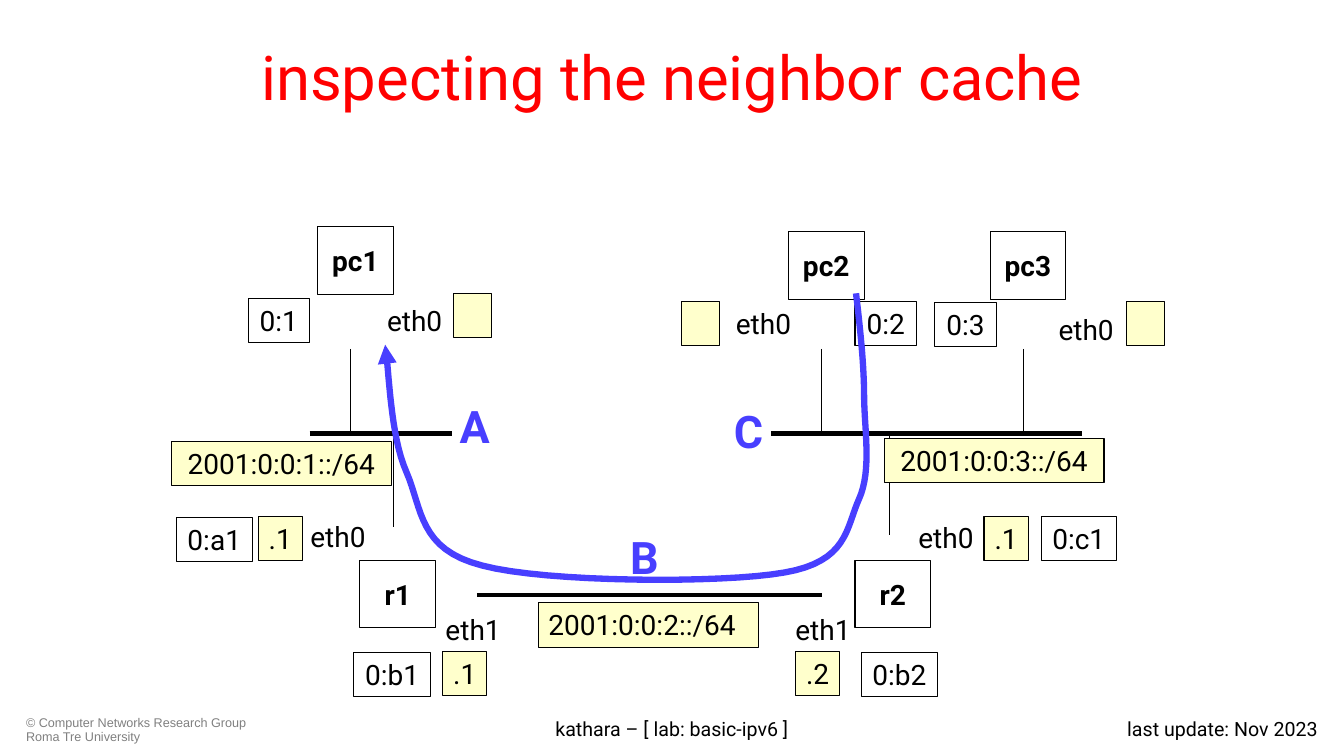
from lxml import etree
from pptx import Presentation
from pptx.dml.color import RGBColor
from pptx.enum.shapes import MSO_CONNECTOR, MSO_SHAPE
from pptx.enum.text import MSO_ANCHOR, PP_ALIGN
from pptx.oxml.ns import qn
from pptx.util import Inches, Pt

LEFT, MID, RIGHT = PP_ALIGN.LEFT, PP_ALIGN.CENTER, PP_ALIGN.RIGHT
TOP, CENTER = MSO_ANCHOR.TOP, MSO_ANCHOR.MIDDLE
RECT, STRAIGHT = MSO_SHAPE.RECTANGLE, MSO_CONNECTOR.STRAIGHT

COLORS = {"red": "FF0000", "black": "000000", "gray": "808080",
          "blue": "483FFF", "white": "FFFFFF", "cream": "FFFFCC"}

TITLE = "inspecting the neighbor cache"
FOOTERS = [
    ("© Computer Networks Research Group Roma Tre University",
     0.16, 2.49, LEFT, {"size": 9, "color": "gray", "name": "Arial"}),
    ("kathara – [ lab: basic-ipv6 ]", 3.41, 6.51, MID, {"size": 14}),
    ("last update: Nov 2023", 10.13, 3.04, RIGHT, {"size": 14}),
]
LANS = [(3.07, 4.48, 4.3), (4.73, 8.15, 5.9), (7.65, 10.73, 4.3)]
DROPS = [(3.48, 3.46, 4.3), (8.15, 3.46, 4.3), (10.15, 3.46, 4.3),
         (3.9, 4.3, 5.23), (8.82, 4.3, 5.31)]
NAMES = [("A", 4.46, 3.91), ("B", 6.15, 5.21), ("C", 7.18, 3.96)]
NODES = [("pc1", 3.15, 2.25), ("pc2", 7.82, 2.3), ("pc3", 9.82, 2.3),
         ("r1", 3.57, 5.56), ("r2", 8.48, 5.56)]
PORTS = [("eth0", 3.74, 2.96), ("eth0", 7.2, 2.99), ("eth0", 10.4, 3.05),
         ("eth0", 2.98, 5.1), ("eth0", 9.01, 5.11),
         ("eth1", 4.32, 6.03), ("eth1", 7.79, 6.03)]
NETS = [("2001:0:0:1::/64", 1.7, 4.38, MID),
        ("2001:0:0:2::/64", 5.34, 5.98, LEFT),
        ("2001:0:0:3::/64", 8.77, 4.35, MID)]
BLANKS = [(4.5, 2.91), (6.76, 2.99), (11.17, 2.99)]
HOSTS = [(".1", 2.56, 5.12), (".1", 9.76, 5.12),
         (".1", 4.39, 6.46), (".2", 7.89, 6.46)]
ADDRS = [("0:1", 2.46, 2.96, 0.61), ("0:2", 8.48, 2.99, 0.61),
         ("0:3", 9.27, 3.0, 0.61), ("0:a1", 1.75, 5.13, 0.75),
         ("0:c1", 10.33, 5.12, 0.74), ("0:b1", 3.51, 6.47, 0.76),
         ("0:b2", 8.54, 6.47, 0.76)]
START = (8.49, 2.91)
CURVES = [
    ((8.51, 3.08), (8.57, 3.57), (8.57, 3.91)),
    ((8.57, 4.25), (8.65, 4.66), (8.52, 4.95)),
    ((8.39, 5.24), (8.41, 5.57), (7.78, 5.68)),
    ((7.16, 5.79), (5.41, 5.78), (4.78, 5.61)),
    ((4.15, 5.45), (4.19, 5.05), (4.03, 4.68)),
    ((3.87, 4.32), (3.86, 3.68), (3.82, 3.42)),
]
STEPS = 16
ROW = 0.44
BASE = {"name": "Roboto", "size": 20, "bold": False, "color": "black"}


def tint(key):
    return RGBColor.from_string(COLORS[key])


def write(shape, text, align=LEFT, anchor=TOP, wrap=False, **style):
    frame = shape.text_frame
    frame.word_wrap = wrap
    frame.vertical_anchor = anchor
    para = frame.paragraphs[0]
    para.text = text
    para.alignment = align
    look = {**BASE, **style}
    para.font.color.rgb = tint(look.pop("color"))
    look["size"] = Pt(look["size"])
    for key, value in look.items():
        setattr(para.font, key, value)
    return para


def label(text, x, y, w, h, **style):
    box = slide.shapes.add_textbox(*map(Inches, (x, y, w, h)))
    return write(box, text, **style)


def block(text, x, y, w, h, fill, **style):
    box = slide.shapes.add_shape(RECT, *map(Inches, (x, y, w, h)))
    box.shadow.inherit = False
    box.fill.solid()
    box.fill.fore_color.rgb = tint(fill)
    box.line.color.rgb = tint("black")
    box.line.width = Pt(0.75)
    if text:
        write(box, text, **style)


def wire(x1, y1, x2, y2, width):
    line = slide.shapes.add_connector(STRAIGHT, *map(Inches, (x1, y1, x2, y2)))
    line.line.color.rgb = tint("black")
    line.line.width = Pt(width)
    etree.SubElement(line._element.spPr, qn("a:effectLst"))


def bend(a, b, c, d, t):
    s = 1 - t
    return tuple(Inches(s**3 * p + 3 * s * s * t * q + 3 * s * t * t * r + t**3 * e)
                 for p, q, r, e in zip(a, b, c, d))


def route():
    points, last = [], START
    for one, two, end in CURVES:
        points += [bend(last, one, two, end, i / STEPS)
                   for i in range(1, STEPS + 1)]
        last = end
    pen = slide.shapes.build_freeform(*map(Inches, START), scale=1.0)
    pen.add_line_segments(points, close=False)
    arrow = pen.convert_to_shape()
    arrow.shadow.inherit = False
    arrow.fill.background()
    arrow.line.color.rgb = tint("blue")
    arrow.line.width = Pt(4.5)
    etree.SubElement(arrow.line._get_or_add_ln(), qn("a:tailEnd"), type="triangle")


deck = Presentation()
deck.slide_width, deck.slide_height = Inches(13.33), Inches(7.5)
slide = deck.slides.add_slide(deck.slide_layouts[5])

title = slide.shapes.title
title.left, title.top = Inches(0.67), Inches(0.13)
title.width, title.height = Inches(12), Inches(1.25)
write(title, TITLE, MID, CENTER, True, size=44, color="red")

for text, x, w, align, style in FOOTERS:
    para = label(text, x, 7.06, w, 0.36, align=align, wrap=True, **style)
    if align == LEFT:
        para.line_spacing = 0.9

for x, top, end in DROPS:
    wire(x, top, x, end, 0.75)
for x, end, y in LANS:
    wire(x, y, end, y, 3)
for text, x, y in NAMES:
    label(text, x, y, 0.51, 0.64, size=32, bold=True, color="blue")
for text, x, y in NODES:
    block(text, x, y, 0.75, 0.67, "white", align=MID, anchor=CENTER, bold=True)
for text, x, y in PORTS:
    label(text, x, y, 0.75, ROW)
for text, x, y, align in NETS:
    block(text, x, y, 2.18, ROW, "cream", align=align)
for x, y in BLANKS:
    block("", x, y, 0.38, ROW, "cream")
for text, x, y in HOSTS:
    block(text, x, y, ROW, ROW, "cream", align=MID)
for text, x, y, w in ADDRS:
    block(text, x, y, w, ROW, "white", align=MID)
route()

deck.save("out.pptx")
